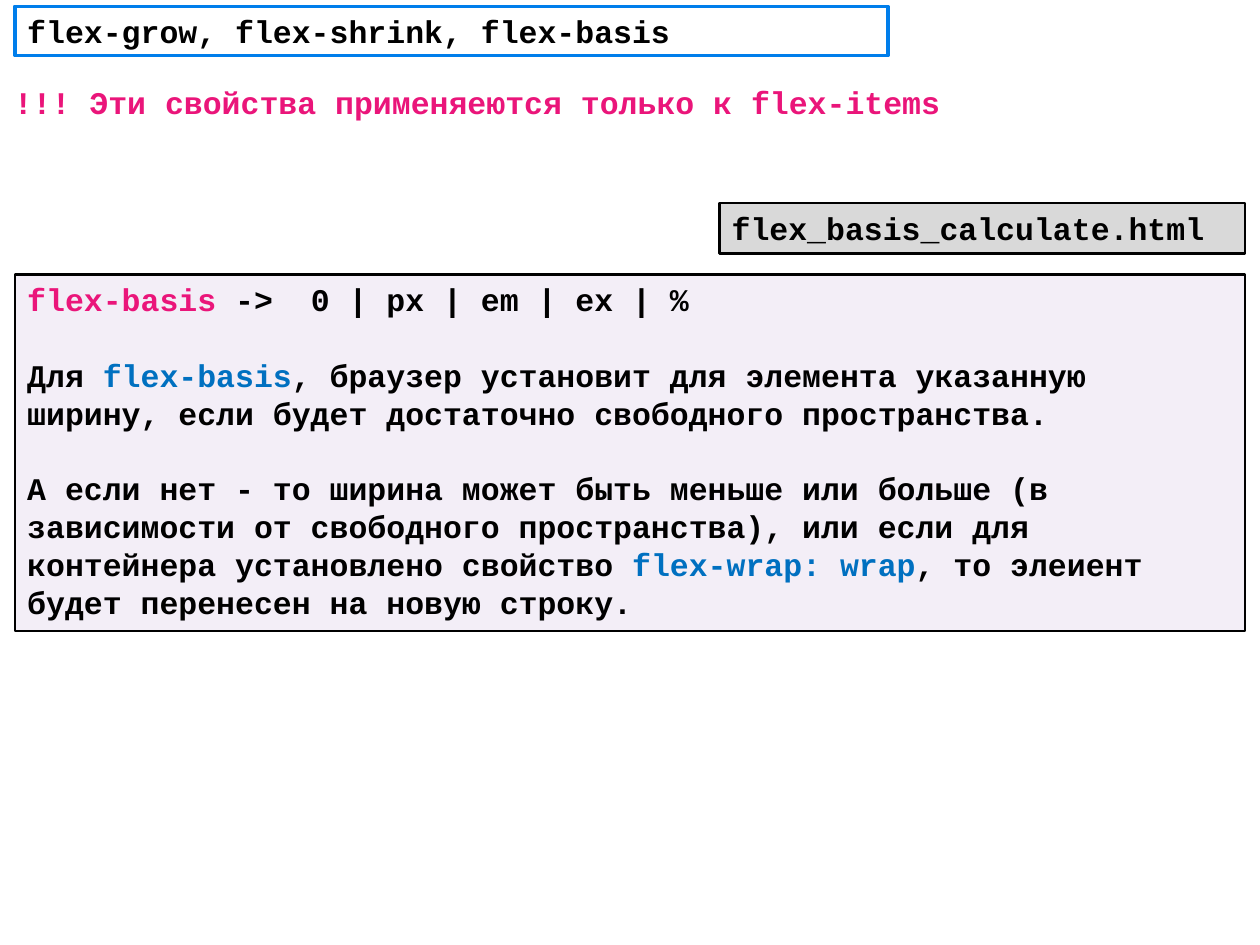
from lxml import etree
from pptx import Presentation
from pptx.dml.color import RGBColor
from pptx.enum.shapes import MSO_SHAPE
from pptx.enum.text import MSO_ANCHOR, PP_ALIGN
from pptx.oxml.ns import qn
from pptx.util import Cm, Pt

RECTANGLE = MSO_SHAPE.RECTANGLE
TOP, MIDDLE = MSO_ANCHOR.TOP, MSO_ANCHOR.MIDDLE
LEFT = PP_ALIGN.LEFT

BLACK = RGBColor(0x00, 0x00, 0x00)
WHITE = RGBColor(0xFF, 0xFF, 0xFF)
PINK = RGBColor(0xEA, 0x15, 0x7A)
BLUE = RGBColor(0x00, 0x70, 0xC0)
BORDER_BLUE = RGBColor(0x00, 0x7E, 0xEB)
GREY = RGBColor(0xD9, 0xD9, 0xD9)
PURPLE = RGBColor(0x70, 0x30, 0xA0)


class SlideBuilder:
    """Hold the text style and the current slide, and add elements to it."""

    font_name = "Courier New"
    font_size = Pt(18)
    line_height = Pt(21.6)

    def __init__(self, slide):
        self.slide = slide

    def add_paragraphs(self, shape, paragraphs, anchor=TOP):
        """Fill a shape with paragraphs, each a list of (text, colour) runs."""
        frame = shape.text_frame
        frame.word_wrap = True
        frame.vertical_anchor = anchor
        for index, runs in enumerate(paragraphs):
            paragraph = frame.add_paragraph() if index else frame.paragraphs[0]
            paragraph.alignment = LEFT
            paragraph.line_spacing = self.line_height
            if index:
                paragraph.space_before = self.line_height
            for text, colour in runs:
                run = paragraph.add_run()
                run.text = text
                run.font.name = self.font_name
                run.font.size = self.font_size
                run.font.bold = True
                run.font.color.rgb = colour

    def add_text(self, left, top, width, height, paragraphs):
        """Add a plain text box."""
        shape = self.slide.shapes.add_textbox(Cm(left), Cm(top), Cm(width), Cm(height))
        self.add_paragraphs(shape, paragraphs)

    def add_box(self, left, top, width, height, paragraphs, fill,
                line=BLACK, line_width=1.5, opacity=None, anchor=TOP):
        """Add a bordered rectangle with text, its fill opacity in percent."""
        shape = self.slide.shapes.add_shape(
            RECTANGLE, Cm(left), Cm(top), Cm(width), Cm(height))
        shape.shadow.inherit = False
        shape.fill.solid()
        shape.fill.fore_color.rgb = fill
        if opacity is not None:
            colour = shape.element.spPr.find(qn("a:solidFill"))[0]
            etree.SubElement(colour, qn("a:alpha"), val=str(opacity * 1000))
        shape.line.color.rgb = line
        shape.line.width = Pt(line_width)
        self.add_paragraphs(shape, paragraphs, anchor)


def main():
    """Build the slide about the flex item properties."""
    presentation = Presentation()
    presentation.slide_width, presentation.slide_height = Cm(25.4), Cm(19.05)
    builder = SlideBuilder(presentation.slides.add_slide(presentation.slide_layouts[6]))

    builder.add_box(0.3, 0.13, 17.6, 0.99,
                    [[("flex-grow, flex-shrink, flex-basis", BLACK)]],
                    WHITE, line=BORDER_BLUE, line_width=2, anchor=MIDDLE)
    builder.add_box(0.3, 5.53, 24.8, 7.19, [
        [("flex-basis ", PINK), ("->  0 | px | em | ex | %", BLACK)],
        [("Для ", BLACK), ("flex-basis", BLUE),
         (", браузер установит для элемента указанную ширину, "
          "если будет достаточно свободного пространства.", BLACK)],
        [("А если нет - то ширина может быть меньше или больше "
          "(в зависимости от свободного пространства), или если "
          "для контейнера установлено свойство ", BLACK),
         ("flex-wrap: wrap", BLUE),
         (", то элеиент будет перенесен на новую строку.", BLACK)],
    ], PURPLE, opacity=8)
    builder.add_text(0.03, 1.55, 23.67, 1.02,
                     [[("!!! Эти свойства применяеются только к flex-items", PINK)]])
    builder.add_box(14.5, 4.09, 10.6, 1.02,
                    [[("flex_basis_calculate.html", BLACK)]], GREY)

    presentation.save("out.pptx")


if __name__ == "__main__":
    main()
